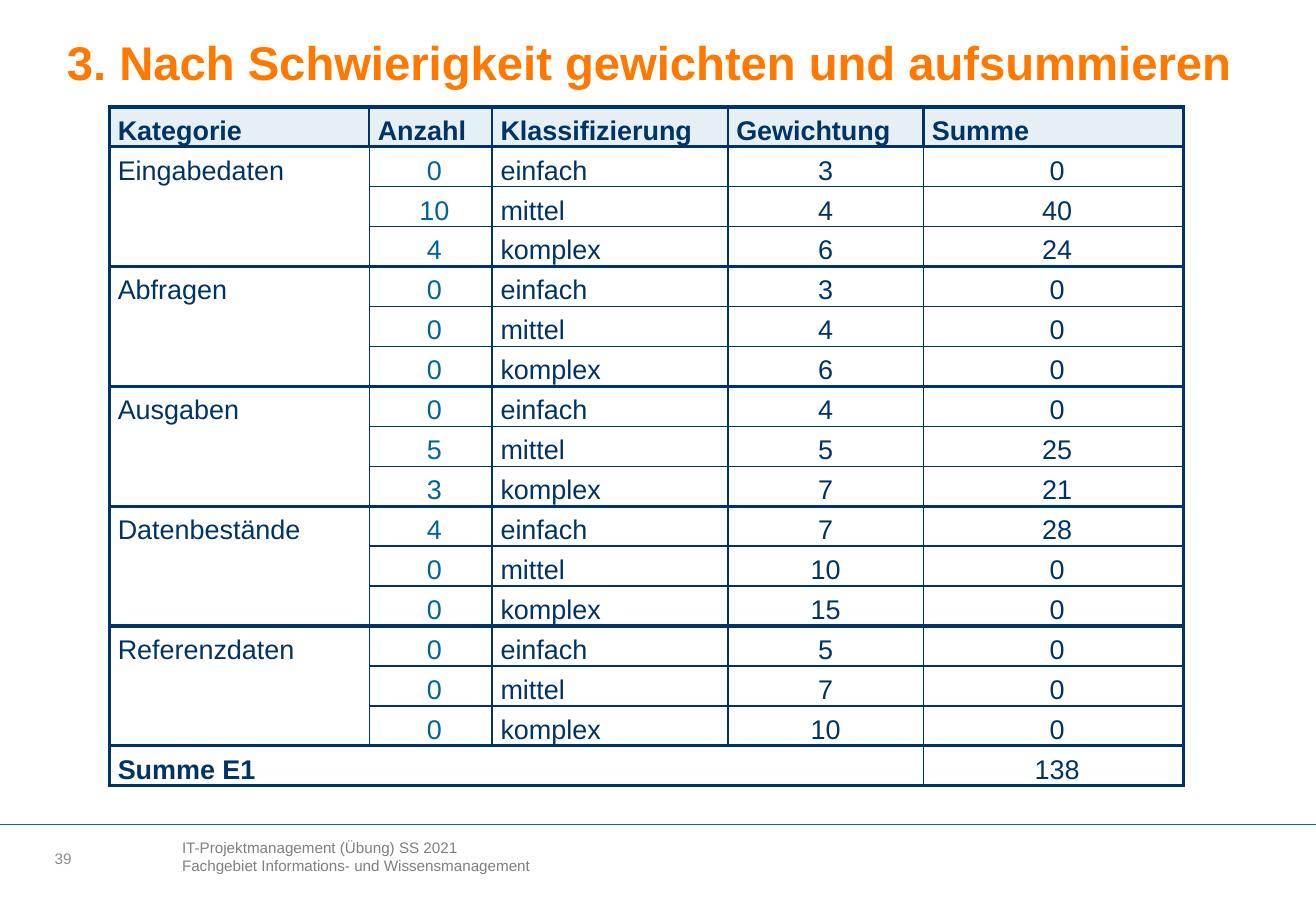
from lxml.etree import SubElement
from pptx import Presentation
from pptx.dml.color import RGBColor
from pptx.enum.shapes import MSO_CONNECTOR
from pptx.enum.text import MSO_ANCHOR, PP_ALIGN
from pptx.oxml.ns import qn
from pptx.util import Inches, Pt

COLORS = {"orange": "FF7900", "navy": "003366", "blue": "006699",
          "teal": "007479", "footer": "808080", "number": "8C8C8C"}
HEADERS = ["Kategorie", "Anzahl", "Klassifizierung", "Gewichtung", "Summe"]
LEVELS = ["einfach", "mittel", "komplex"]
CATEGORIES = [
    ("Eingabedaten", [0, 10, 4], [3, 4, 6]),
    ("Abfragen", [0, 0, 0], [3, 4, 6]),
    ("Ausgaben", [0, 5, 3], [4, 5, 7]),
    ("Datenbestände", [4, 0, 0], [7, 10, 15]),
    ("Referenzdaten", [0, 0, 0], [5, 7, 10]),
]
COLUMN_WIDTHS = [2.14, 1.01, 1.94, 1.61, 2.14]
THICK, MEDIUM, THIN = 2.25, 1.5, 1


def style_font(para, size, color, bold=False):
    para.font.name = "Arial"
    para.font.size = Pt(size)
    para.font.bold = bold
    para.font.color.rgb = RGBColor.from_string(COLORS[color])


def add_border(cell, side, width):
    line = SubElement(cell._tc.get_or_add_tcPr(), qn(f"a:ln{side}"), w=str(Pt(width)))
    fill = SubElement(line, qn("a:solidFill"))
    SubElement(fill, qn("a:srgbClr"), val=COLORS["navy"])


deck = Presentation()
deck.slide_width = Inches(10.83)
deck.slide_height = Inches(7.5)
page = deck.slides.add_slide(deck.slide_layouts[5])

title = page.shapes.title
title.left, title.top = Inches(0.45), Inches(0.22)
title.width, title.height = Inches(10.33), Inches(0.57)
title.text_frame.text = "3. Nach Schwierigkeit gewichten und aufsummieren"
title.text_frame.vertical_anchor = MSO_ANCHOR.MIDDLE
title.text_frame.paragraphs[0].alignment = PP_ALIGN.LEFT
style_font(title.text_frame.paragraphs[0], 28, "orange", True)

rows = [HEADERS]
total = 0
for category, counts, weights in CATEGORIES:
    for index, (count, level, weight) in enumerate(zip(counts, LEVELS, weights)):
        rows.append([category if index == 0 else "", count, level, weight, count * weight])
        total += count * weight
rows.append(["Summe E1", "", "", "", total])
last_row, last_column = len(rows) - 1, len(HEADERS) - 1

frame = page.shapes.add_table(len(rows), len(HEADERS), Inches(0.9), Inches(0.88),
                              Inches(8.84), Inches(5.59))
table = frame.table
table.first_row = False
table.horz_banding = False
for column, width in zip(table.columns, COLUMN_WIDTHS):
    column.width = Inches(width)
for first in range(1, last_row, len(LEVELS)):
    table.cell(first, 0).merge(table.cell(first + len(LEVELS) - 1, 0))
table.cell(last_row, 0).merge(table.cell(last_row, last_column - 1))

for r, values in enumerate(rows):
    for c, value in enumerate(values):
        cell = table.cell(r, c)
        if cell.is_spanned:
            cell.fill.background()
            continue
        numeric = r > 0 and c in (1, 3, 4)
        cell.margin_left = Inches(0.13 if numeric and c != 3 else 0.07)
        cell.margin_right = Inches(0.07)
        cell.margin_top = cell.margin_bottom = 0
        cell.text = str(value)
        para = cell.text_frame.paragraphs[0]
        para.alignment = PP_ALIGN.CENTER if numeric else PP_ALIGN.JUSTIFY
        para.line_spacing = 1.3
        para.space_after = Pt(4)
        style_font(para, 16, "blue" if numeric and c == 1 else "navy",
                   r == 0 or (r == last_row and c == 0))

        inner = MEDIUM if r == 0 else THIN
        bottom_row = r + (cell.span_height if cell.is_merge_origin else 1) - 1
        add_border(cell, "L", THICK if c == 0 else inner)
        add_border(cell, "R", THICK if c == last_column else inner)
        add_border(cell, "T", THICK if r == 0 or r % 3 == 1 else THIN)
        add_border(cell, "B", THICK if bottom_row % 3 == 0 or r == last_row else THIN)
        if r == 0:
            cell.fill.solid()
            cell.fill.fore_color.rgb = RGBColor.from_string(COLORS["blue"])
            tint = cell._tc.tcPr.find(qn("a:solidFill")).find(qn("a:srgbClr"))
            SubElement(tint, qn("a:alpha"), val="10000")
        else:
            cell.fill.background()

rule = page.shapes.add_connector(MSO_CONNECTOR.STRAIGHT, 0, Inches(6.79),
                                 deck.slide_width, Inches(6.79))
rule.line.color.rgb = RGBColor.from_string(COLORS["teal"])
rule.line.width = Pt(0.5)
SubElement(rule._element.spPr, qn("a:effectLst"))

footer = page.shapes.add_textbox(Inches(1.4), Inches(6.85), Inches(6.06), Inches(0.56))
footer.text_frame.word_wrap = True
footer.text_frame.text = ("IT-Projektmanagement (Übung) SS 2021\n"
                          "Fachgebiet Informations- und Wissensmanagement")
for para in footer.text_frame.paragraphs:
    style_font(para, 9, "footer")

number = page.shapes.add_textbox(Inches(0.45), Inches(6.94), Inches(0.72), Inches(0.25))
number_text = number.text_frame
number_text.word_wrap = True
number_text.margin_left = number_text.margin_right = 0
number_text.margin_top = number_text.margin_bottom = 0
number_text.vertical_anchor = MSO_ANCHOR.MIDDLE
number_text.text = "39"
style_font(number_text.paragraphs[0], 9, "number")

deck.save("out.pptx")
